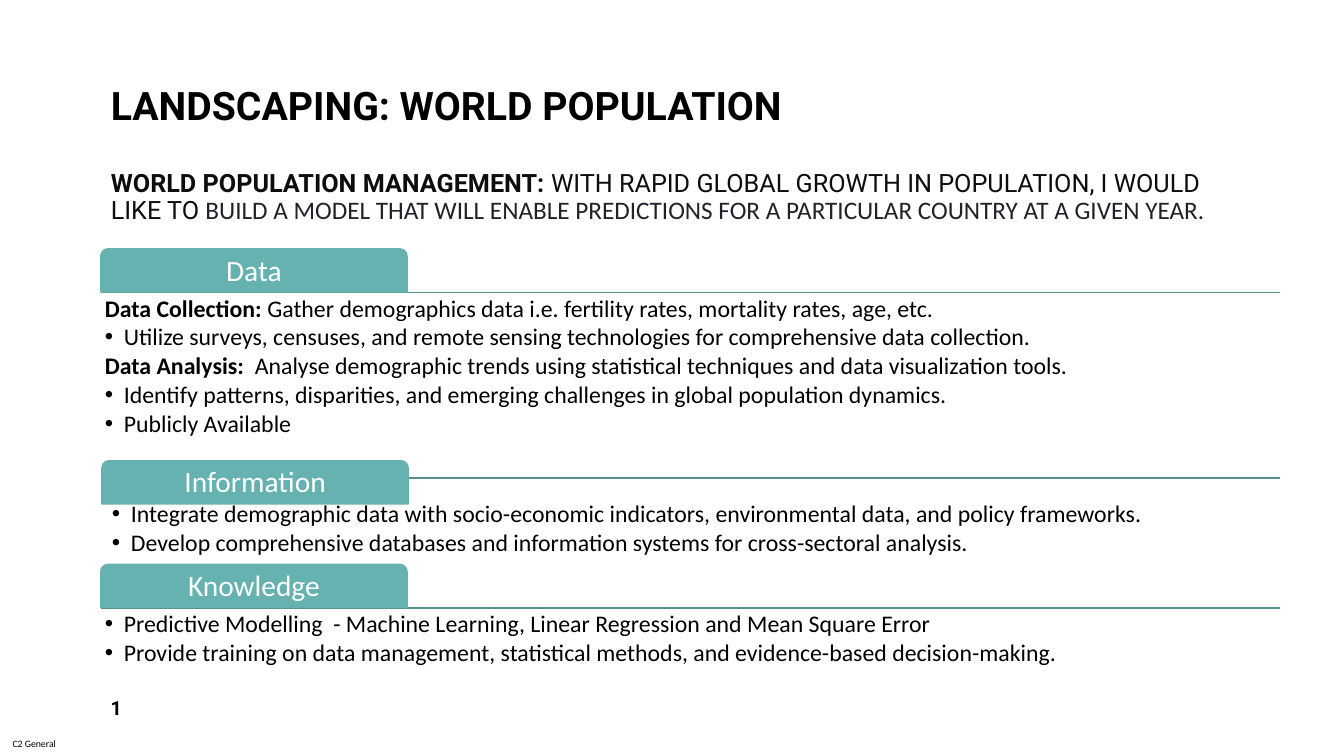
from lxml.etree import SubElement
from pptx import Presentation
from pptx.dml.color import RGBColor
from pptx.enum.shapes import MSO_CONNECTOR, MSO_SHAPE
from pptx.enum.text import MSO_ANCHOR, MSO_AUTO_SIZE, PP_ALIGN
from pptx.oxml.ns import qn
from pptx.util import Cm, Pt

COLORS = {"black": "000000", "lead": "0D0D0D", "detail": "1F2328",
          "white": "FFFFFF", "tab": "66B2B0", "rule": "528F8D"}

# Runs: text, font, size, colour, bold
HEADING = [("LANDSCAPING: WORLD POPULATION", "Roboto", 28, "black", True)]
SUMMARY = [
    ("WORLD POPULATION MANAGEMENT: ", "Roboto", 18, "lead", True),
    ("WITH RAPID GLOBAL GROWTH IN POPULATION, I WOULD LIKE TO ",
     "Roboto", 18, "lead", False),
    ("BUILD A MODEL THAT WILL ENABLE PREDICTIONS FOR A PARTICULAR COUNTRY "
     "AT A GIVEN YEAR.", "Calibri", 18, "detail", False),
]

# Items: bold lead-in (empty for a bulleted item), text. Lengths in cm.
SECTIONS = [
    {"name": "Data", "tab": (2.54, 6.27), "rule": 7.37,
     "list": (2.54, 7.37, 29.72, 3.53),
     "items": [
         ("Data Collection: ", "Gather demographics data i.e. fertility rates, "
          "mortality rates, age, etc."),
         ("", "Utilize surveys, censuses, and remote sensing technologies for "
          "comprehensive data collection."),
         ("Data Analysis:  ", "Analyse demographic trends using statistical "
          "techniques and data visualization tools."),
         ("", "Identify patterns, disparities, and emerging challenges in "
          "global population dynamics."),
         ("", "Publicly Available")]},
    {"name": "Information", "tab": (2.57, 11.61), "rule": 12.04,
     "list": (2.72, 12.55, 29.34, 2.11),
     "items": [
         ("", "Integrate demographic data with socio-economic indicators, "
          "environmental data, and policy frameworks."),
         ("", "Develop comprehensive databases and information systems for "
          "cross-sectoral analysis.")]},
    {"name": "Knowledge", "tab": (2.54, 14.22), "rule": 15.32,
     "list": (2.54, 15.32, 29.72, 2.21),
     "items": [
         ("", "Predictive Modelling  - Machine Learning, Linear Regression "
          "and Mean Square Error"),
         ("", "Provide training on data management, statistical methods, "
          "and evidence-based decision-making.")]},
]
LEFT, RIGHT = 2.54, 32.26
TAB_SIZE = (7.72, 1.09)
HANGING = Cm(0.48)


def rgb(name):
    return RGBColor.from_string(COLORS[name])


def place(shape, left, top, width, height):
    shape.left, shape.top = Cm(left), Cm(top)
    shape.width, shape.height = Cm(width), Cm(height)


def prepare_frame(shape, anchor, inset=None):
    frame = shape.text_frame
    frame.word_wrap = True
    frame.auto_size = MSO_AUTO_SIZE.NONE
    frame.vertical_anchor = anchor
    if inset is not None:
        frame.margin_left = frame.margin_right = Cm(inset)
        frame.margin_top = frame.margin_bottom = Cm(inset)
    return frame


def write(paragraph, runs, align=PP_ALIGN.LEFT, before=0, after=0):
    paragraph.alignment = align
    paragraph.line_spacing = 0.9
    paragraph.space_before, paragraph.space_after = Pt(before), Pt(after)
    for text, font, size, color, bold in runs:
        run = paragraph.add_run()
        run.text = text
        run.font.name, run.font.size, run.font.bold = font, Pt(size), bold
        run.font.color.rgb = rgb(color)


def set_bullet(paragraph, bulleted):
    properties = paragraph._p.get_or_add_pPr()
    properties.set("marL", str(HANGING))
    properties.set("indent", str(-HANGING))
    if bulleted:
        SubElement(properties, qn("a:buChar")).set("char", "•")
    else:
        SubElement(properties, qn("a:buNone"))


def add_title(slide):
    title = slide.shapes.title
    place(title, LEFT, 1.17, 28.85, 4.62)
    frame = prepare_frame(title, MSO_ANCHOR.BOTTOM)
    write(frame.paragraphs[0], HEADING)
    write(frame.add_paragraph(), SUMMARY, before=29.5)


def fill_list(placeholder, section):
    place(placeholder, *section["list"])
    frame = prepare_frame(placeholder, MSO_ANCHOR.TOP, 0.1)
    for index, (lead, text) in enumerate(section["items"]):
        paragraph = frame.add_paragraph() if index else frame.paragraphs[0]
        runs = [(lead, "Calibri", 17, "black", True)] if lead else []
        runs.append((text, "Calibri", 17, "black", False))
        write(paragraph, runs, after=2.2)
        set_bullet(paragraph, not lead)


def add_rule(slide, top):
    rule = slide.shapes.add_connector(
        MSO_CONNECTOR.STRAIGHT, Cm(LEFT), Cm(top), Cm(RIGHT), Cm(top))
    rule.line.color.rgb = rgb("rule")
    rule.line.width = Pt(1)
    SubElement(rule._element.spPr, qn("a:effectLst"))


def add_tab(slide, section):
    lengths = [Cm(length) for length in section["tab"] + TAB_SIZE]
    tab = slide.shapes.add_shape(MSO_SHAPE.ROUND_2_SAME_RECTANGLE, *lengths)
    tab.shadow.inherit = False
    tab.fill.solid()
    tab.fill.fore_color.rgb = tab.line.color.rgb = rgb("tab")
    tab.line.width = Pt(1)
    frame = prepare_frame(tab, MSO_ANCHOR.MIDDLE, 0.1)
    write(frame.paragraphs[0], [(section["name"], "Calibri", 21, "white", False)],
          PP_ALIGN.CENTER)


def add_label(slide, box, run, align, inset=None):
    label = slide.shapes.add_textbox(*[Cm(length) for length in box])
    frame = prepare_frame(label, MSO_ANCHOR.MIDDLE, inset)
    write(frame.paragraphs[0], [run], align)


def main():
    presentation = Presentation()
    presentation.slide_width, presentation.slide_height = Cm(33.87), Cm(19.05)
    comparison = presentation.slide_layouts.get_by_name("Comparison")
    slide = presentation.slides.add_slide(comparison)
    bodies = list(slide.placeholders)[1:]

    add_title(slide)
    for placeholder, section in zip(bodies, SECTIONS):
        fill_list(placeholder, section)
        add_rule(slide, section["rule"])
        add_tab(slide, section)
    for unused in bodies[len(SECTIONS):]:
        unused._element.getparent().remove(unused._element)

    add_label(slide, (LEFT, 17.35, 7.42, 1.02),
              ("1", "Roboto", 14, "black", True), PP_ALIGN.LEFT)
    add_label(slide, (0, 18.47, 1.73, 0.58),
              ("C2 General", "Calibri", 7, "black", False), PP_ALIGN.CENTER, 0)
    presentation.save("out.pptx")


if __name__ == "__main__":
    main()
